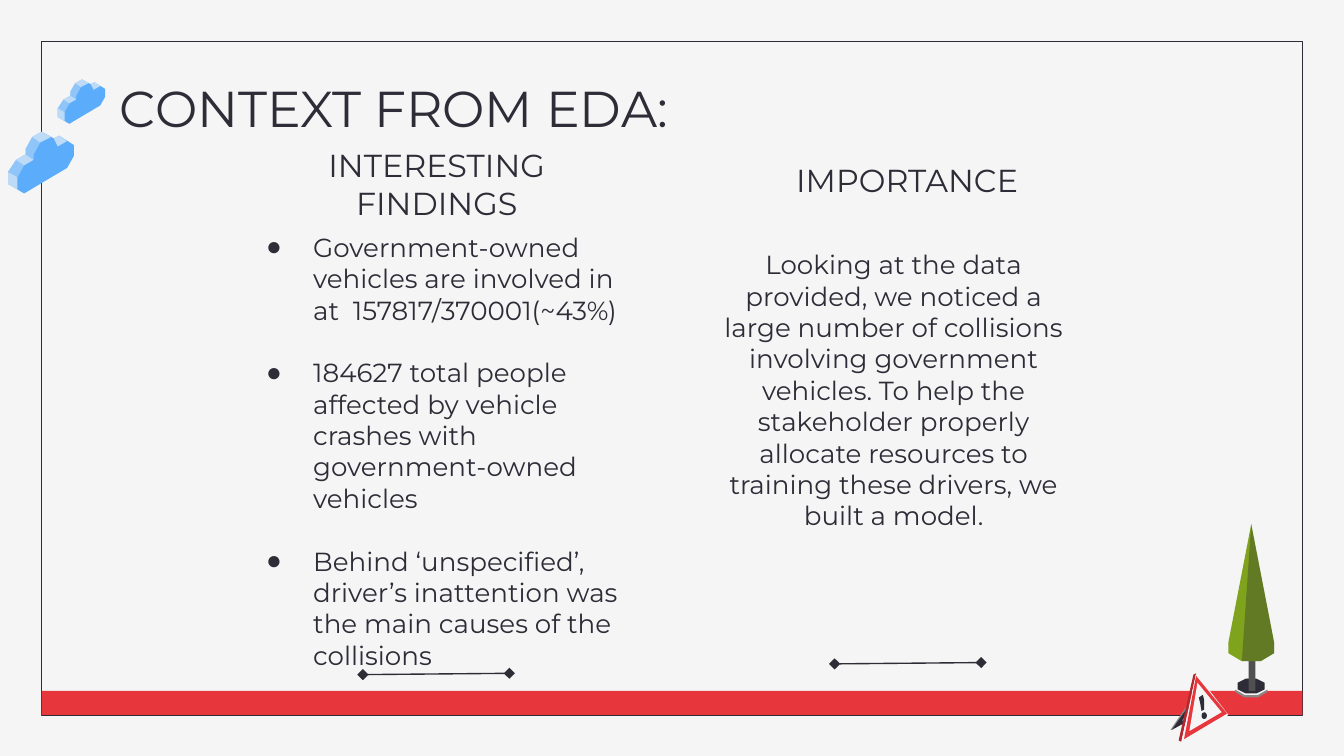
from lxml import etree
from pptx import Presentation
from pptx.dml.color import RGBColor
from pptx.enum.shapes import MSO_CONNECTOR, MSO_SHAPE
from pptx.enum.text import MSO_ANCHOR, MSO_AUTO_SIZE, PP_ALIGN
from pptx.oxml.ns import qn
from pptx.util import Inches, Pt

RECTANGLE, OVAL = MSO_SHAPE.RECTANGLE, MSO_SHAPE.OVAL
STRAIGHT = MSO_CONNECTOR.STRAIGHT
TOP, BOTTOM = MSO_ANCHOR.TOP, MSO_ANCHOR.BOTTOM
LEFT, CENTER = PP_ALIGN.LEFT, PP_ALIGN.CENTER
NO_AUTOFIT = MSO_AUTO_SIZE.NONE

INK = RGBColor(0x2D, 0x2C, 0x37)
PAPER = RGBColor(0xF5, 0xF5, 0xF5)
RED = RGBColor(0xE7, 0x36, 0x3C)
DARK_RED = RGBColor(0xB1, 0x28, 0x2F)
BLUE = RGBColor(0x5B, 0xAD, 0xFB)
GREEN = RGBColor(0x7F, 0xA3, 0x1D)
GREY = RGBColor(0x87, 0x87, 0x87)
TRUNK = RGBColor(0x50, 0x50, 0x50)
STONE = RGBColor(0xA3, 0x9C, 0x95)
SOIL = RGBColor(0x5E, 0x44, 0x39)

CLOUD = [
    (BLUE, 100, [(0.25, 0), (0.18, 0.04), (0.13, 0.13), (0.13, 0.17), (0.06, 0.21),
                 (0, 0.3), (0, 0.39), (0.12, 0.46), (0.44, 0.27), (0.49, 0.18),
                 (0.49, 0.1), (0.38, 0.03), (0.34, 0.05)]),
    (PAPER, 64, [(0.25, 0), (0.18, 0.04), (0.24, 0.08), (0.32, 0.04)]),
    (PAPER, 64, [(0.13, 0.17), (0.06, 0.21), (0.12, 0.25), (0.19, 0.21)]),
    (PAPER, 34, [(0.06, 0.21), (0, 0.3), (0.07, 0.34), (0.12, 0.25)]),
    (PAPER, 34, [(0.13, 0.13), (0.13, 0.17), (0.19, 0.21), (0.19, 0.17)]),
    (PAPER, 64, [(0, 0.3), (0, 0.39), (0.07, 0.43), (0.07, 0.34)]),
    (PAPER, 64, [(0.38, 0.03), (0.34, 0.05), (0.37, 0.11), (0.44, 0.07)]),
    (PAPER, 34, [(0.18, 0.04), (0.13, 0.13), (0.19, 0.17), (0.24, 0.08)]),
]
TREE = [
    (GREY, 100, [(0.05, 1.23), (0.05, 1.25), (0.12, 1.29), (0.22, 1.29),
                 (0.29, 1.25), (0.29, 1.23), (0.22, 1.27), (0.12, 1.27)]),
    (PAPER, 100, [(0.12, 1.14), (0.05, 1.17), (0.05, 1.23), (0.12, 1.27),
                  (0.22, 1.27), (0.29, 1.23), (0.29, 1.17), (0.22, 1.14)]),
    (STONE, 100, [(0.14, 1.15), (0.09, 1.18), (0.09, 1.2), (0.25, 1.2),
                  (0.25, 1.18), (0.2, 1.15)]),
    (SOIL, 100, [(0.14, 1.17), (0.09, 1.2), (0.09, 1.22), (0.14, 1.25),
                 (0.2, 1.25), (0.25, 1.22), (0.25, 1.2), (0.2, 1.17)]),
    (INK, 100, [(0.13, 1.15), (0.07, 1.18), (0.07, 1.23), (0.13, 1.26),
                (0.21, 1.26), (0.27, 1.23), (0.27, 1.18), (0.21, 1.15)]),
    (TRUNK, 100, [(0.16, 0.95), (0.15, 0.96), (0.15, 1.24), (0.2, 1.24),
                  (0.2, 0.96), (0.18, 0.95)]),
    (GREEN, 100, [(0.17, 0), (0, 0.88), (0, 0.96), (0.1, 1.02), (0.24, 1.02),
                  (0.34, 0.96), (0.34, 0.88)]),
    (INK, 34, [(0.17, 0), (0.1, 1.02), (0.24, 1.02), (0.34, 0.96), (0.34, 0.88)]),
]
WARNING_SIGN = [
    (GREY, 100, [(0.21, 0.11), (0, 0.42), (0.01, 0.42), (0.22, 0.3), (0.21, 0.28),
                 (0.07, 0.36), (0.21, 0.16)]),
    (INK, 100, [(0.22, 0.12), (0.01, 0.42), (0.23, 0.3), (0.22, 0.29),
                (0.08, 0.36), (0.22, 0.17)]),
    (DARK_RED, 100, [(0.19, 0), (0.17, 0.01), (0.06, 0.5), (0.08, 0.51)]),
    (PAPER, 100, [(0.19, 0), (0.08, 0.51), (0.43, 0.31)]),
    (RED, 100, [(0.19, 0.02), (0.1, 0.49), (0.42, 0.3)]),
    (PAPER, 100, [(0.2, 0.07), (0.14, 0.43), (0.38, 0.29)]),
    (INK, 100, [(0.24, 0.16), (0.21, 0.18), (0.22, 0.22), (0.23, 0.28),
                (0.25, 0.27), (0.25, 0.2)]),
]
FINDINGS = [
    "Government-owned vehicles are involved in at  157817/370001(~43%)",
    "184627 total people affected by vehicle crashes with government-owned vehicles",
    "Behind ‘unspecified’, driver’s inattention was the main causes of the collisions",
]
IMPORTANCE = (
    "Looking at the data provided, we noticed a large number of collisions "
    "involving government vehicles. To help the stakeholder properly allocate "
    "resources to training these drivers, we built a model."
)


class SlideBuilder:
    font = "Montserrat"
    line_width = Pt(0.75)

    def __init__(self, slide):
        self.slide = slide
        slide.background.fill.solid()
        slide.background.fill.fore_color.rgb = PAPER

    def text(self, index, box, texts, size, align=LEFT, anchor=TOP, bullets=False):
        shape = self.slide.placeholders[index]
        shape.left, shape.top, shape.width, shape.height = map(Inches, box)
        frame = shape.text_frame
        frame.auto_size = NO_AUTOFIT
        frame.word_wrap = True
        frame.vertical_anchor = anchor
        frame.margin_left = frame.margin_right = Inches(0.1)
        frame.margin_top = frame.margin_bottom = Inches(0.1)
        for number, text in enumerate(texts):
            paragraph = frame.add_paragraph() if number else frame.paragraphs[0]
            paragraph.alignment = align
            paragraph.line_spacing = 1.0
            paragraph.space_before = Pt(0)
            paragraph.space_after = Pt(size * 1.2 if number < len(texts) - 1 else 0)
            self.bullet(paragraph, bullets)
            run = paragraph.add_run()
            run.text = text
            run.font.name = self.font
            run.font.size = Pt(size)
            run.font.bold = False
            run.font.color.rgb = INK

    def bullet(self, paragraph, visible):
        properties = paragraph._p.get_or_add_pPr()
        properties.set("marL", str(Inches(0.5) if visible else 0))
        properties.set("indent", str(Inches(-0.35) if visible else 0))
        if visible:
            etree.SubElement(properties, qn("a:buChar"), char="●")
        else:
            etree.SubElement(properties, qn("a:buNone"))

    def preset(self, kind, box, fill=None, line=None):
        shape = self.slide.shapes.add_shape(kind, *map(Inches, box))
        self.paint(shape, fill, line)

    def paint(self, shape, fill, line=None):
        shape.shadow.inherit = False
        if fill is None:
            shape.fill.background()
        else:
            shape.fill.solid()
            shape.fill.fore_color.rgb = fill
        if line is None:
            shape.line.fill.background()
        else:
            shape.line.color.rgb = line
            shape.line.width = self.line_width

    def artwork(self, pieces, left, top, scale=1):
        for color, opacity, outline in pieces:
            points = [(Inches(left + x * scale), Inches(top + y * scale)) for x, y in outline]
            builder = self.slide.shapes.build_freeform(*points[0])
            builder.add_line_segments(points[1:], close=True)
            shape = builder.convert_to_shape()
            self.paint(shape, color)
            if opacity < 100:
                fill_color = shape.element.xpath("./p:spPr/a:solidFill/a:srgbClr")[0]
                etree.SubElement(fill_color, qn("a:alpha"), val=str(opacity * 1000))

    def diamond_line(self, left, top):
        ends = (left, top, left + 1.09, top - 0.01)
        connector = self.slide.shapes.add_connector(STRAIGHT, *map(Inches, ends))
        connector.line.color.rgb = INK
        connector.line.width = self.line_width
        line = connector.line._get_or_add_ln()
        for end in ("a:headEnd", "a:tailEnd"):
            etree.SubElement(line, qn(end), type="diamond")
        etree.SubElement(connector.element.spPr, qn("a:effectLst"))


def main():
    presentation = Presentation()
    presentation.slide_width = Inches(10)
    presentation.slide_height = Inches(10) * 9 // 16
    slide = presentation.slides.add_slide(presentation.slide_layouts[4])
    builder = SlideBuilder(slide)

    builder.preset(RECTANGLE, (0.31, 0.31, 9.38, 5.01), line=INK)
    builder.preset(RECTANGLE, (0.31, 5.14, 9.38, 0.18), fill=RED)
    builder.artwork(CLOUD, 0.06, 0.98)
    builder.artwork(CLOUD, 0.43, 0.59, 0.72)
    builder.artwork(TREE, 9.14, 3.9)
    builder.artwork(WARNING_SIGN, 8.71, 5.01)
    builder.preset(OVAL, (8.94, 5.3, 0.04, 0.05), fill=INK)

    builder.text(0, (0.79, 0.47, 8.43, 0.63), ["CONTEXT FROM EDA:"], 27)
    builder.text(1, (1.73, 1.27, 3.04, 0.48), ["INTERESTING FINDINGS"], 17, CENTER, BOTTOM)
    builder.text(2, (1.73, 1.62, 3.04, 2.87), FINDINGS, 14, bullets=True)
    builder.text(3, (5.23, 1.1, 3.04, 0.48), ["IMPORTANCE"], 17, CENTER, BOTTOM)
    builder.text(4, (5.23, 1.75, 2.84, 2.39), [IMPORTANCE], 14, CENTER)

    builder.diamond_line(2.7, 5.02)
    builder.diamond_line(6.21, 4.94)
    presentation.save("out.pptx")


if __name__ == "__main__":
    main()
